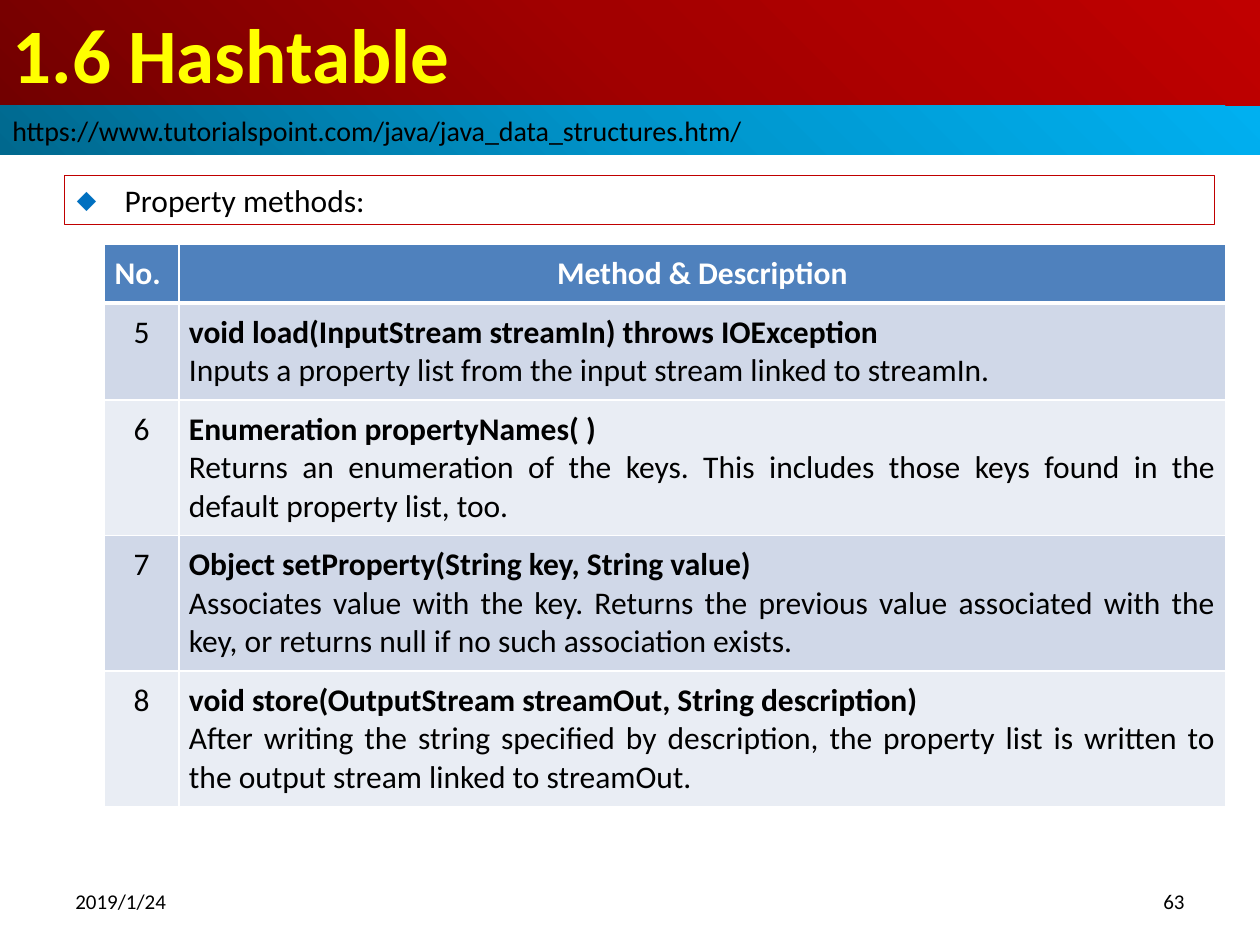
from lxml import etree
from pptx import Presentation, util as u
from pptx.dml.color import RGBColor
from pptx.enum import shapes, text
from pptx.oxml import parse_xml
from pptx.oxml.ns import nsdecls, qn

INK = {
    "title": "FFFF00", "text": "000000", "white": "FFFFFF",
    "frame": "C00000", "bullet": "0070C0",
    "head": "4F81BD", "odd": "D0D8E8", "even": "E9EDF4",
}
REDS = ["720000", "A20000", "C00000"]
BLUES = ["00688E", "0094CA", "00B0F0"]
FONT = "Calibri"
LEFT, MID, RIGHT, JUST = (
    text.PP_ALIGN.LEFT, text.PP_ALIGN.CENTER,
    text.PP_ALIGN.RIGHT, text.PP_ALIGN.JUSTIFY)

METHODS = [
    ("5", "void load(InputStream streamIn) throws IOException",
     "Inputs a property list from the input stream linked to streamIn."),
    ("6", "Enumeration propertyNames( )",
     "Returns an enumeration of the keys. This includes those keys found "
     "in the default property list, too."),
    ("7", "Object setProperty(String key, String value)",
     "Associates value with the key. Returns the previous value associated "
     "with the key, or returns null if no such association exists."),
    ("8", "void store(OutputStream streamOut, String description)",
     "After writing the string specified by description, the property list "
     "is written to the output stream linked to streamOut."),
]


def rgb(name):
    return RGBColor.from_string(INK[name])


def inches(box):
    return [u.Inches(n) for n in box]


def place(shape, box):
    shape.left, shape.top, shape.width, shape.height = inches(box)


def style(para, size, color="text", bold=False, align=LEFT):
    para.alignment = align
    for run in para.runs:
        font = run.font
        font.name, font.size, font.bold = FONT, u.Pt(size), bold
        font.color.rgb = rgb(color)


def write(shape, words, size, anchor=text.MSO_ANCHOR.MIDDLE, **look):
    frame = shape.text_frame
    frame.text = words
    frame.word_wrap = True
    frame.auto_size = text.MSO_AUTO_SIZE.NONE
    frame.vertical_anchor = anchor
    style(frame.paragraphs[0], size, **look)


def shade(shape, colors):
    """Fill with a radial gradient that starts at the bottom left."""
    shape.fill.gradient()
    grad = shape.element.spPr.find(qn("a:gradFill"))
    stops = "".join(
        f'<a:gs pos="{i * 50000}"><a:srgbClr val="{c}"/></a:gs>'
        for i, c in enumerate(colors))
    grad.getparent().replace(grad, parse_xml(
        f'<a:gradFill {nsdecls("a")} rotWithShape="1"><a:gsLst>{stops}</a:gsLst>'
        '<a:path path="circle"><a:fillToRect t="100000" r="100000"/></a:path>'
        '</a:gradFill>'))


def add_title(slide, box):
    title = slide.shapes.title
    place(title, box)
    shade(title, REDS)
    write(title, "1.6 Hashtable", 44, color="title", bold=True)


def add_link(slide, box):
    bar = slide.shapes.add_shape(shapes.MSO_SHAPE.RECTANGLE, *inches(box))
    bar.shadow.inherit = False
    bar.line.fill.background()
    shade(bar, BLUES)
    write(bar, "https://www.tutorialspoint.com/java/java_data_structures.htm/", 16)


def add_topic(slide, box):
    topic = slide.placeholders[1]
    place(topic, box)
    topic.line.color.rgb = rgb("frame")
    topic.line.width = u.Pt(0.75)
    write(topic, "Property methods:", 18, anchor=text.MSO_ANCHOR.TOP)
    para = topic.text_frame.paragraphs[0]
    para.space_before = u.Pt(0)
    # Diamond bullet with a hanging indent
    props = para._p.get_or_add_pPr()
    indent = u.Inches(0.38)
    props.set("marL", str(indent))
    props.set("indent", str(-indent))
    color = etree.SubElement(props, qn("a:buClr"))
    etree.SubElement(color, qn("a:srgbClr"), val=INK["bullet"])
    etree.SubElement(props, qn("a:buSzPct"), val="80000")
    etree.SubElement(props, qn("a:buFont"), typeface=FONT)
    etree.SubElement(props, qn("a:buChar"), char="◆")


def edge(cell, top, bottom):
    props = cell._tc.get_or_add_tcPr()
    for side, width in zip("LRTB", (1, 1, top, bottom)):
        props.append(parse_xml(
            f'<a:ln{side} {nsdecls("a")} w="{u.Pt(width)}"><a:solidFill>'
            f'<a:srgbClr val="{INK["white"]}"/></a:solidFill></a:ln{side}>'))


def fill_cell(cell, lines, fill, top=1, bottom=1):
    """Each line is a pair of its words and its look."""
    edge(cell, top, bottom)
    cell.fill.solid()
    cell.fill.fore_color.rgb = rgb(fill)
    cell.margin_left = cell.margin_right = u.Inches(0.08)
    cell.margin_top = cell.margin_bottom = u.Inches(0.08)
    cell.text_frame.text = "\n".join(words for words, look in lines)
    for para, (words, look) in zip(cell.text_frame.paragraphs, lines):
        style(para, 18, **look)


def add_methods(slide, box):
    frame = slide.shapes.add_table(len(METHODS) + 1, 2, *inches(box))
    table = frame.table
    for col, width in zip(table.columns, (0.59, 8.31)):
        col.width = u.Inches(width)
    for row in table.rows:
        row.height = u.Inches(0.41)
    frame.height = u.Inches(box[3])

    # Header
    for c, (words, align) in enumerate([("No.", LEFT), ("Method & Description", MID)]):
        look = dict(color="white", bold=True, align=align)
        fill_cell(table.cell(0, c), [(words, look)], "head", bottom=3)

    # Method rows
    for r, (num, name, about) in enumerate(METHODS, 1):
        fill = "odd" if r % 2 else "even"
        top = 3 if r == 1 else 1
        fill_cell(table.cell(r, 0), [(num, dict(align=MID))], fill, top)
        fill_cell(table.cell(r, 1), [
            (name, dict(bold=True, align=JUST)),
            (about, dict(align=JUST))], fill, top)


def add_footer(slide, box):
    left, top, width, height = box
    part = 2.33
    notes = [(left, "2019/1/24", LEFT), (left + width - part, "63", RIGHT)]
    for x, words, align in notes:
        note = slide.shapes.add_textbox(*inches((x, top, part, height)))
        write(note, words, 12, align=align)


def main():
    deck = Presentation()
    deck.slide_width, deck.slide_height = u.Inches(10), u.Inches(7.5)
    slide = deck.slides.add_slide(deck.slide_layouts[0])
    add_title(slide, (0, 0, 10, 0.84))
    add_topic(slide, (0.51, 1.39, 9.13, 0.39))
    add_link(slide, (0, 0.84, 10, 0.39))
    add_footer(slide, (0.5, 6.95, 9, 0.4))
    add_methods(slide, (0.83, 1.94, 8.9, 4.43))
    deck.save("out.pptx")


if __name__ == "__main__":
    main()
